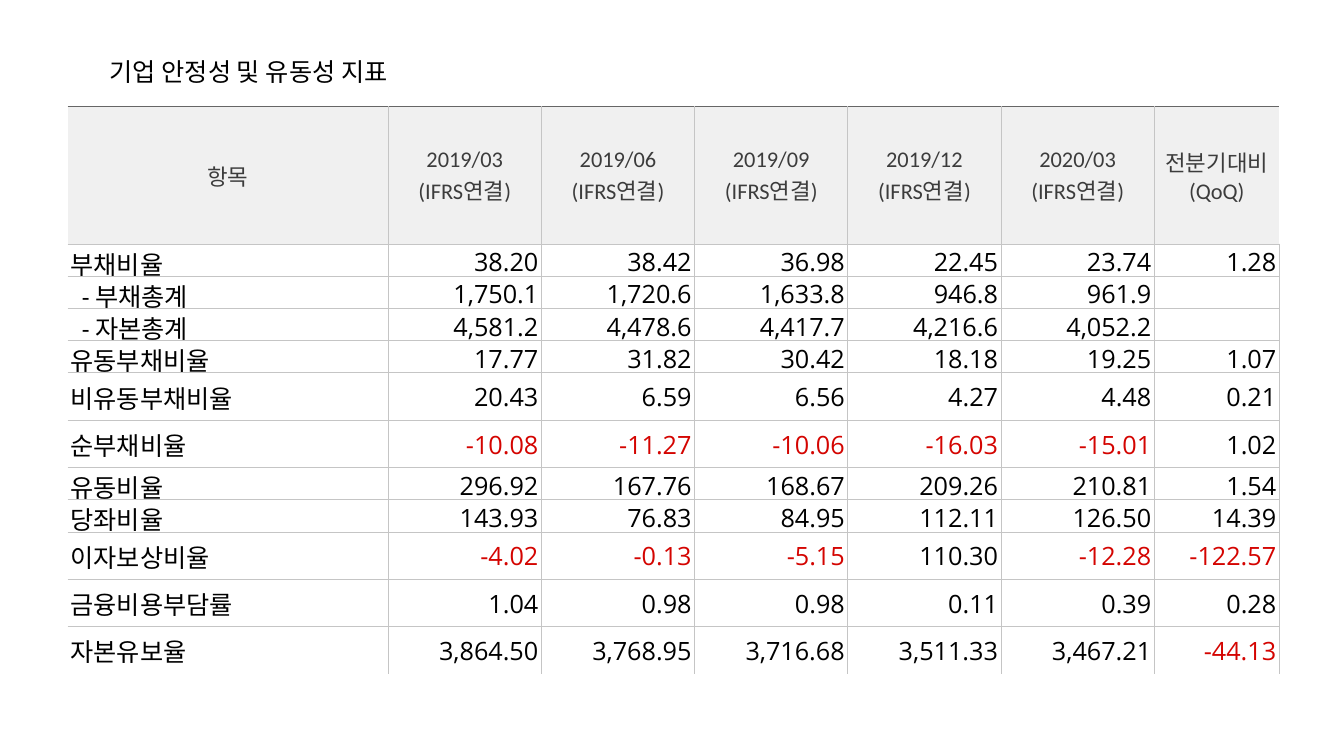
import pptx
import pptx.util
import pptx.dml.color
import pptx.enum.text
import pptx.oxml.ns
import lxml.etree

Inches = pptx.util.Inches
Pt = pptx.util.Pt
Align = pptx.enum.text.PP_ALIGN
hues = {"ink": "000000", "head": "3C3C3C", "loss": "D40400",
        "fill": "F0F0F0", "grid": "C5C5C5", "top": "666666"}


def style(frame, font, size, hue, align):
    para = frame.paragraphs[0]
    para.alignment = align
    for run in para.runs:
        run.font.name = font
        run.font.size = Pt(size)
        run.font.color.rgb = pptx.dml.color.RGBColor.from_string(hues[hue])


def border(cell, side, hue):
    qn = pptx.oxml.ns.qn
    props = cell._tc.get_or_add_tcPr()
    line = lxml.etree.Element(qn("a:ln" + side), w=str(Pt(0.6)))
    if hue:
        fill = lxml.etree.SubElement(line, qn("a:solidFill"))
        lxml.etree.SubElement(fill, qn("a:srgbClr"), val=hues[hue])
    else:
        lxml.etree.SubElement(line, qn("a:noFill"))
    props.insert("LRTB".index(side), line)


dates = ["2019/03", "2019/06", "2019/09", "2019/12", "2020/03"]
rows = [
    ["항목"] + [date + "\v(IFRS연결)" for date in dates] + ["전분기대비\v(QoQ)"],
    ["부채비율", "38.20", "38.42", "36.98", "22.45", "23.74", "1.28"],
    ["\u00a0\u00a0- 부채총계", "1,750.1", "1,720.6", "1,633.8", "946.8", "961.9", ""],
    ["\u00a0\u00a0- 자본총계", "4,581.2", "4,478.6", "4,417.7", "4,216.6", "4,052.2", ""],
    ["유동부채비율", "17.77", "31.82", "30.42", "18.18", "19.25", "1.07"],
    ["비유동부채비율", "20.43", "6.59", "6.56", "4.27", "4.48", "0.21"],
    ["순부채비율", "-10.08", "-11.27", "-10.06", "-16.03", "-15.01", "1.02"],
    ["유동비율", "296.92", "167.76", "168.67", "209.26", "210.81", "1.54"],
    ["당좌비율", "143.93", "76.83", "84.95", "112.11", "126.50", "14.39"],
    ["이자보상비율", "-4.02", "-0.13", "-5.15", "110.30", "-12.28", "-122.57"],
    ["금융비용부담률", "1.04", "0.98", "0.98", "0.11", "0.39", "0.28"],
    ["자본유보율", "3,864.50", "3,768.95", "3,716.68", "3,511.33", "3,467.21", "-44.13"],
]
widths = [3.18] + [1.52] * 5 + [1.24]
heights = [1.36] + [0.32] * 4 + [0.47] * 2 + [0.32] * 2 + [0.47] * 3

deck = pptx.Presentation()
deck.slide_width = Inches(13.33)
deck.slide_height = Inches(7.5)
slide = deck.slides.add_slide(deck.slide_layouts[6])

title = slide.shapes.add_textbox(Inches(0.99), Inches(0.51), Inches(3.42), Inches(0.4))
title.text_frame.word_wrap = True
title.text_frame.text = "기업 안정성 및 유동성 지표"
style(title.text_frame, "Calibri", 18, "ink", Align.LEFT)

table = slide.shapes.add_table(len(rows), len(widths), Inches(0.67), Inches(1.06),
                               Inches(12), Inches(5.59)).table
table.first_row = False
table.horz_banding = False
for column, width in zip(table.columns, widths):
    column.width = Inches(width)
for row, height in zip(table.rows, heights):
    row.height = Inches(height)

last = len(rows) - 1
end = len(widths) - 1
for r, row in enumerate(rows):
    for c, text in enumerate(row):
        cell = table.cell(r, c)
        cell.vertical_anchor = pptx.enum.text.MSO_ANCHOR.MIDDLE
        cell.margin_left = Inches(0.03 if r and c == 0 else 0.04)
        cell.margin_right = Inches(0.03 if r and c else 0.04)
        cell.margin_top = Inches(0.01)
        cell.margin_bottom = 0
        cell.text_frame.text = text
        if r == 0:
            style(cell.text_frame, "Calibri", 16, "head", Align.CENTER)
            cell.fill.solid()
            cell.fill.fore_color.rgb = pptx.dml.color.RGBColor.from_string(hues["fill"])
        else:
            hue = "loss" if text.startswith("-") else "ink"
            font = "Open Sans" if c else "Calibri"
            style(cell.text_frame, font, 18, hue, Align.RIGHT if c else Align.LEFT)
            cell.fill.background()
        if not text:
            cell.text_frame.paragraphs[0].font.size = Pt(16)
        border(cell, "L", "grid" if c else None)
        border(cell, "R", "grid" if r or c < end else None)
        border(cell, "T", "grid" if r else "top")
        border(cell, "B", "grid" if r < last else None)

deck.save("out.pptx")
